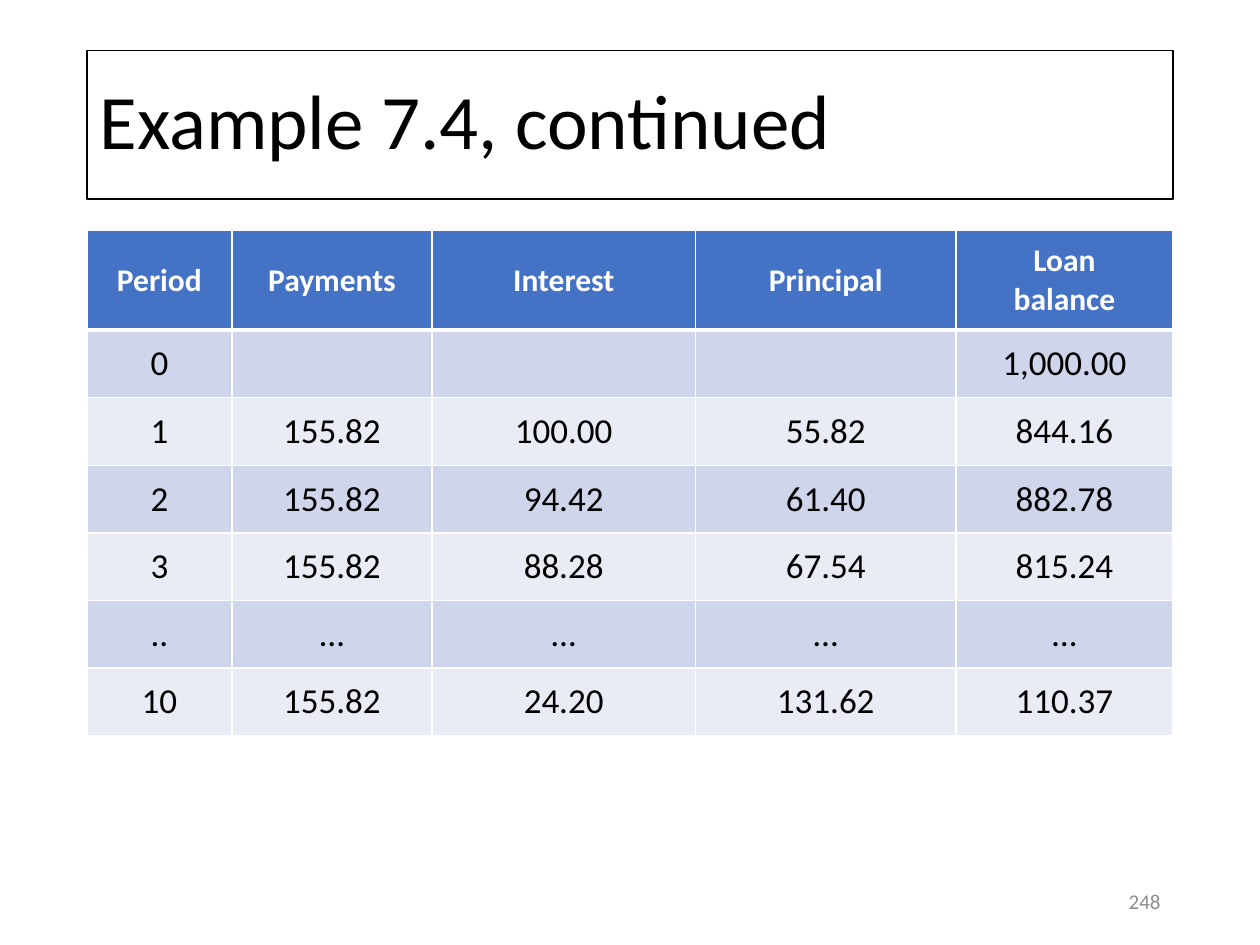
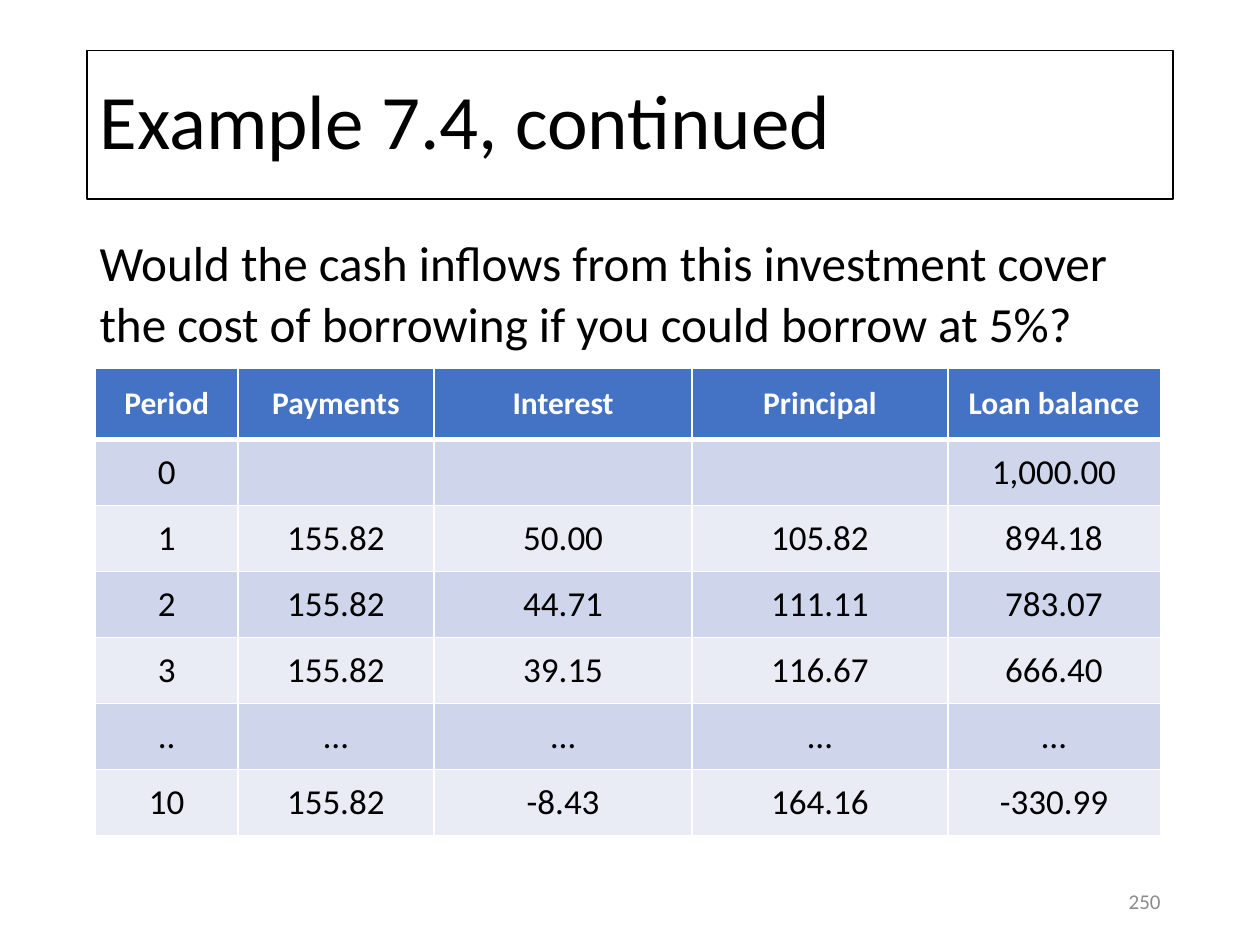
from lxml import etree
from pptx import Presentation
from pptx.dml.color import RGBColor
from pptx.enum.text import MSO_ANCHOR, MSO_AUTO_SIZE, PP_ALIGN
from pptx.oxml.ns import qn
from pptx.util import Inches, Pt

LEFT, CENTER, RIGHT = PP_ALIGN.LEFT, PP_ALIGN.CENTER, PP_ALIGN.RIGHT
MIDDLE, TOP = MSO_ANCHOR.MIDDLE, MSO_ANCHOR.TOP
NO_AUTOSIZE = MSO_AUTO_SIZE.NONE

FONT = "Calibri"
COLORS = {
    "text": "000000",
    "white": "FFFFFF",
    "page": "8C8C8C",
    "header": "4472C4",
    "odd": "CFD5EA",
    "even": "E9EBF5",
}
LAYOUT_TITLE_BODY, LAYOUT_TITLE = 1, 5
COL_WIDTHS = [1.15, 1.59, 2.09, 2.07, 1.72]
HEADINGS = ["Period", "Payments", "Interest", "Principal"]
OPENING = ["0", "", "", "", "1,000.00"]
GAP = ["..", "…", "…", "…", "…"]
PAYMENT = "155.82"


def rgb(name):
    """Return the named colour."""
    return RGBColor.from_string(COLORS[name])


def schedule(balance_heading, years):
    """Return the rows of a loan schedule, with a gap before the last year."""
    rows = [[period, PAYMENT, *values] for period, *values in years]
    return [HEADINGS + [balance_heading], OPENING, *rows[:-1], GAP, rows[-1]]


class Deck:
    """Holds the presentation, its style and the current slide."""

    def __init__(self):
        """Start an empty 10 by 7.5 inch presentation."""
        self.prs = Presentation()
        self.prs.slide_width, self.prs.slide_height = Inches(10), Inches(7.5)
        self.s = None

    def slide(self, layout, title, number):
        """Add a slide with its boxed title and page number."""
        self.s = self.prs.slides.add_slide(self.prs.slide_layouts[layout])
        sp = self.s.shapes.title
        self.place(sp, 0.69, 0.4, 8.62, 1.18)
        sp.line.color.rgb = rgb("text")
        sp.line.width = Pt(0.75)
        p = self.text(sp.text_frame, title, 44, "text", LEFT)
        p.line_spacing = 0.9
        sp = self.s.shapes.add_textbox(
            Inches(7.06), Inches(6.95), Inches(2.25), Inches(0.4))
        self.text(sp.text_frame, number, 12, "page", RIGHT)

    def place(self, sp, left, top, width, height):
        """Move and size a shape."""
        sp.left, sp.top = Inches(left), Inches(top)
        sp.width, sp.height = Inches(width), Inches(height)

    def text(self, tf, text, size, color, align, anchor=MIDDLE):
        """Write one paragraph into a text frame and return it."""
        tf.word_wrap = True
        tf.auto_size = NO_AUTOSIZE
        tf.vertical_anchor = anchor
        return self.runs(tf.paragraphs[0], text, size, color, align)

    def runs(self, p, text, size, color, align, bold=False):
        """Fill a paragraph run by run, breaking at line ends."""
        p.alignment = align
        for i, line in enumerate(text.split("\n")):
            if i:
                p.add_line_break()
            r = p.add_run()
            r.text = line
            r.font.name, r.font.size, r.font.bold = FONT, Pt(size), bold
            r.font.color.rgb = rgb(color)
        return p

    def body(self, text):
        """Write the question into the body placeholder, without a bullet."""
        sp = self.s.placeholders[1]
        self.place(sp, 0.69, 1.78, 8.62, 5.24)
        p = self.text(sp.text_frame, text, 28.1, "text", LEFT, TOP)
        pPr = p._p.get_or_add_pPr()
        pPr.set("marL", "0")
        pPr.set("indent", "0")
        etree.SubElement(pPr, qn("a:buNone"))
        p.line_spacing = 1.03
        p.space_before, p.space_after = Pt(0), Pt(6)

    def border(self, cell, side, width):
        """Draw a white border on one side of a cell."""
        ln = etree.SubElement(
            cell._tc.get_or_add_tcPr(), qn(f"a:ln{side}"), w=str(Pt(width)))
        fill = etree.SubElement(ln, qn("a:solidFill"))
        etree.SubElement(fill, qn("a:srgbClr"), val=COLORS["white"])

    def table(self, rows, left, top, width, height, header_height):
        """Add a banded table with a header row."""
        tbl = self.s.shapes.add_table(
            len(rows), len(COL_WIDTHS), Inches(left), Inches(top),
            Inches(width), Inches(height)).table
        for col, w in zip(tbl.columns, COL_WIDTHS):
            col.width = Inches(w * width / sum(COL_WIDTHS))
        row_height = (height - header_height) / (len(rows) - 1)
        for i, values in enumerate(rows):
            tbl.rows[i].height = Inches(row_height if i else header_height)
            band = ("odd" if i % 2 else "even") if i else "header"
            for j, value in enumerate(values):
                cell = tbl.cell(i, j)
                for side in "LRTB":
                    thick = (i, side) in ((0, "B"), (1, "T"))
                    self.border(cell, side, 3 if thick else 1)
                cell.fill.solid()
                cell.fill.fore_color.rgb = rgb(band)
                cell.vertical_anchor = MIDDLE
                if value:
                    size, color = (20, "text") if i else (18, "white")
                    self.runs(cell.text_frame.paragraphs[0], value, size,
                              color, CENTER, bold=i == 0)


def main():
    """Build both slides and save them."""
    deck = Deck()
    title = "Example 7.4, continued"

    deck.slide(LAYOUT_TITLE, title, "248")
    deck.table(schedule("Loan\nbalance", [
        ["1", "100.00", "55.82", "844.16"],
        ["2", "94.42", "61.40", "882.78"],
        ["3", "88.28", "67.54", "815.24"],
        ["10", "24.20", "131.62", "110.37"],
    ]), 0.69, 1.83, 8.62, 4.01, 0.79)

    deck.slide(LAYOUT_TITLE_BODY, title, "250")
    deck.body("Would the cash inflows from this investment cover "
              "the cost of borrowing if you could borrow at 5%?")
    deck.table(schedule("Loan balance", [
        ["1", "50.00", "105.82", "894.18"],
        ["2", "44.71", "111.11", "783.07"],
        ["3", "39.15", "116.67", "666.40"],
        ["10", "-8.43", "164.16", "-330.99"],
    ]), 0.76, 2.92, 8.45, 3.71, 0.57)

    deck.prs.save("out.pptx")


if __name__ == "__main__":
    main()
